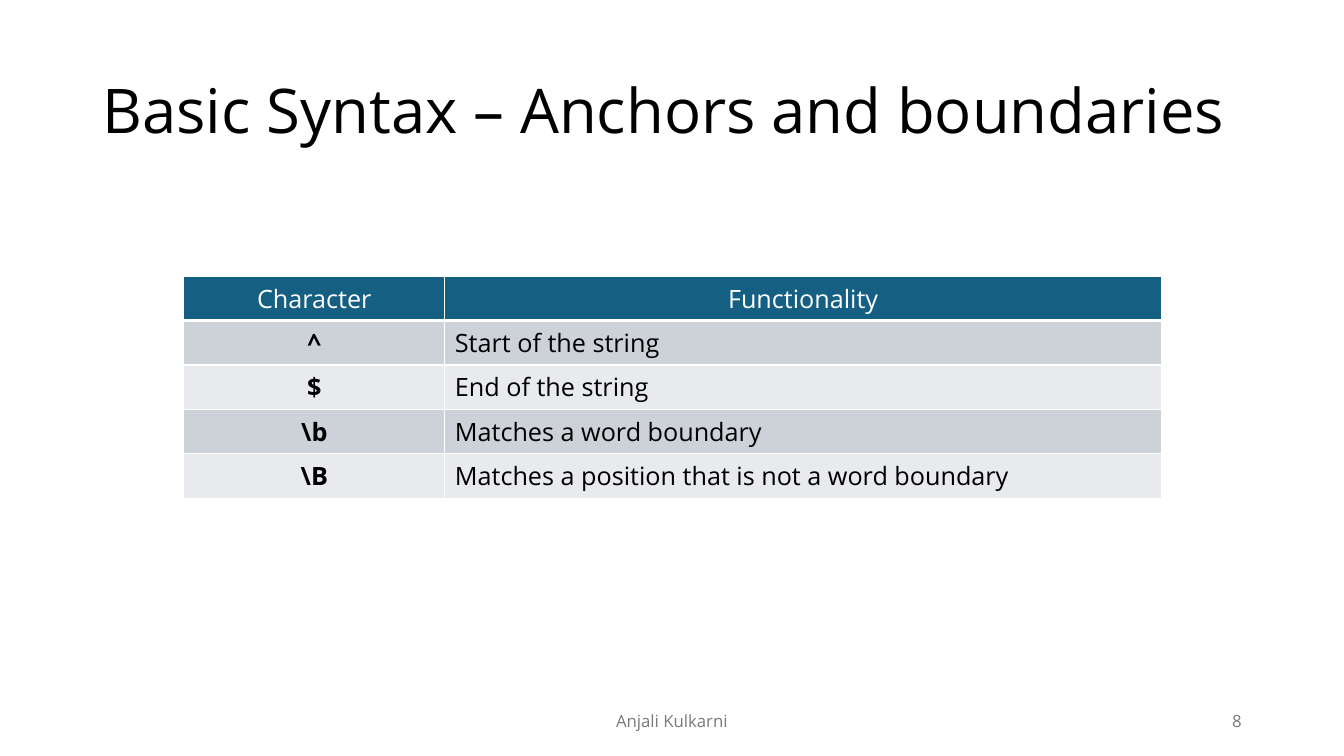
from lxml import etree
from pptx import Presentation
from pptx import util as u
from pptx.dml import color
from pptx.enum import text
from pptx.oxml import ns

HEADER = ("Character", "Functionality")
ANCHORS = (
    ("^", "Start of the string"),
    ("$", "End of the string"),
    ("\\b", "Matches a word boundary"),
    ("\\B", "Matches a position that is not a word boundary"),
)
LEFT, CENTER, RIGHT = text.PP_ALIGN.LEFT, text.PP_ALIGN.CENTER, text.PP_ALIGN.RIGHT


def rgb(value):
    return color.RGBColor.from_string(value)


class SlideBuilder:
    """Holds the style and the current slide, and adds each kind of element."""

    font = "Open Sans"
    black, white, grey = "000000", "FFFFFF", "797979"
    header_fill = "156082"
    band_fills = ("CCD2D8", "E8EAED")

    def __init__(self, presentation):
        self.slide = presentation.slides.add_slide(presentation.slide_layouts[5])

    def add_words(self, frame, words, size, ink, align=LEFT, bold=False):
        paragraph = frame.paragraphs[0]
        paragraph.alignment = align
        run = paragraph.add_run()
        run.text = words
        run.font.name = self.font
        run.font.size = u.Pt(size)
        run.font.bold = bold
        run.font.color.rgb = rgb(ink)
        return paragraph

    def title(self, words, left, top, width, height):
        shape = self.slide.shapes.title
        shape.left, shape.top = u.Cm(left), u.Cm(top)
        shape.width, shape.height = u.Cm(width), u.Cm(height)
        frame = shape.text_frame
        frame.auto_size = text.MSO_AUTO_SIZE.NONE
        frame.vertical_anchor = text.MSO_ANCHOR.MIDDLE
        self.add_words(frame, words, 44, self.black).line_spacing = 0.9

    def label(self, words, left, top, width, height, align):
        shape = self.slide.shapes.add_textbox(u.Cm(left), u.Cm(top), u.Cm(width), u.Cm(height))
        frame = shape.text_frame
        frame.word_wrap = True
        frame.vertical_anchor = text.MSO_ANCHOR.MIDDLE
        self.add_words(frame, words, 12, self.grey, align)

    def borders(self, cell, bottom):
        properties = cell._tc.get_or_add_tcPr()
        for side, points in (("L", 1), ("R", 1), ("T", 1), ("B", bottom)):
            line = etree.SubElement(properties, ns.qn(f"a:ln{side}"), w=str(u.Pt(points)))
            fill = etree.SubElement(line, ns.qn("a:solidFill"))
            etree.SubElement(fill, ns.qn("a:srgbClr"), val=self.white)

    def table(self, header, rows, left, top, widths, row_height):
        records = (header, *rows)
        table = self.slide.shapes.add_table(
            len(records), len(widths), u.Cm(left), u.Cm(top),
            u.Cm(sum(widths)), u.Cm(row_height * len(records)),
        ).table
        for column, width in zip(table.columns, widths):
            column.width = u.Cm(width)
        for i, record in enumerate(records):
            table.rows[i].height = u.Cm(row_height)
            is_header = i == 0
            fill = self.header_fill if is_header else self.band_fills[(i - 1) % 2]
            ink = self.white if is_header else self.black
            for j, words in enumerate(record):
                cell = table.cell(i, j)
                self.borders(cell, 3 if is_header else 1)
                cell.fill.solid()
                cell.fill.fore_color.rgb = rgb(fill)
                align = CENTER if is_header or j == 0 else LEFT
                self.add_words(cell.text_frame, words, 18, ink, align, not is_header and j == 0)


def main():
    presentation = Presentation()
    presentation.slide_width, presentation.slide_height = u.Cm(33.87), u.Cm(19.05)
    builder = SlideBuilder(presentation)
    builder.title("Basic Syntax – Anchors and boundaries", 2.33, 1.01, 29.21, 3.68)
    builder.table(HEADER, ANCHORS, 4.63, 6.96, (6.58, 18.06), 1.03)
    builder.label("Anjali Kulkarni", 11.22, 17.66, 11.43, 1.01, CENTER)
    builder.label("8", 23.92, 17.66, 7.62, 1.01, RIGHT)
    presentation.save("out.pptx")


if __name__ == "__main__":
    main()
